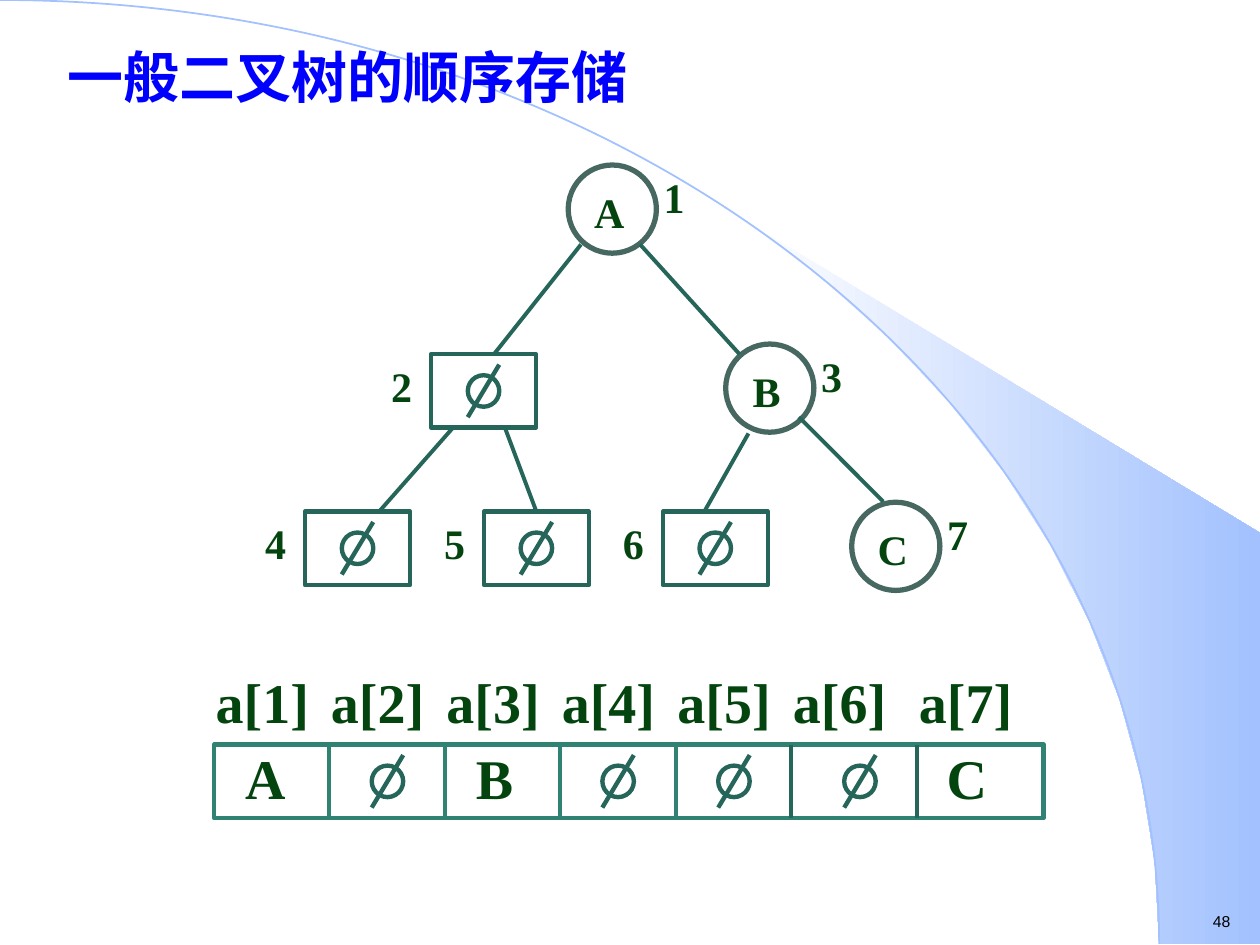
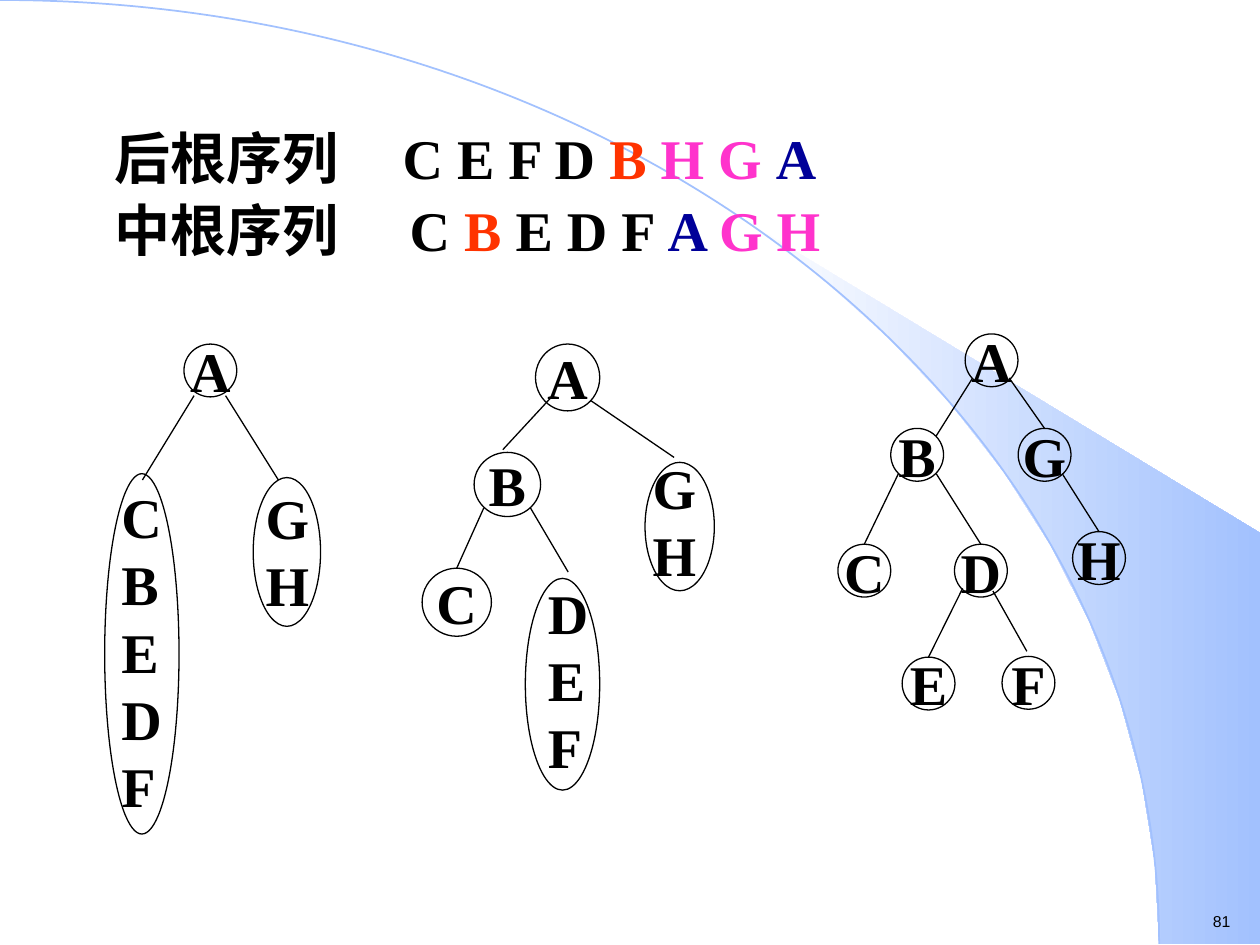
"""Builds two slides on binary trees: array storage, and rebuilding from traversals."""
from dataclasses import dataclass
from math import cos, radians, sin

from lxml.etree import SubElement
from pptx import Presentation
from pptx.dml.color import RGBColor
from pptx.enum.shapes import MSO_CONNECTOR, MSO_SHAPE
from pptx.enum.text import MSO_ANCHOR, MSO_AUTO_SIZE, PP_ALIGN
from pptx.oxml.ns import qn
from pptx.util import Pt

COLORS = {
    "title": "0000FF", "band": "A2C1FE", "white": "FFFFFF", "black": "000000",
    "letter": "04440F", "ring": "466861", "edge": "26665A", "array": "308272",
    "orange": "FF3300", "pink": "FF33CC", "navy": "000099",
}
SERIF, SANS = "Times New Roman", "Arial"
W, H = 720, 540
ARC_RX, ARC_RY = 662.4, 539.3
BOX_W, BOX_H, RING = 60, 42, 50.4
ROW_TOP, ROW_H = 425.5, 42


@dataclass
class Node:
    """A tree node; a node without text is an empty box on the storage slide."""
    key: str
    x: float
    y: float
    text: str = ""
    w: float = 30.2
    h: float = 30.2


@dataclass
class Edge:
    """A straight edge, joined to the top of the target node when one is named."""
    x1: float
    y1: float
    x2: float
    y2: float
    target: str = ""


@dataclass
class Column:
    """Letters of one undivided subtree and the ellipse around them."""
    letters: str
    x: float
    y: float
    ring: tuple


@dataclass
class Cell:
    """One array cell: its letter, left edge and the middle of its content."""
    letter: str
    left: float
    middle: float


@dataclass
class Tree:
    """One stage of rebuilding the tree."""
    nodes: list
    columns: list
    edges: list


STORED_NODES = [
    Node("1", 324.7, 94.3, "A"), Node("2", 246.3, 202.4), Node("3", 414.7, 196.6, "B"),
    Node("4", 174.3, 292.3), Node("5", 276.5, 292.3), Node("6", 378.7, 292.3),
    Node("7", 486.7, 287, "C"),
]
STORED_EDGES = [
    Edge(332, 139.7, 282.3, 202.4), Edge(365.8, 139.7, 422.6, 202.4),
    Edge(258.5, 244.8, 216.7, 292.3), Edge(288.7, 244.8, 306.5, 292.3, "5"),
    Edge(427.7, 247.7, 402.5, 292.3), Edge(456.5, 238.3, 504.7, 286.6),
]
CELLS = [
    Cell("A", 122.4, 151.7), Cell("", 188.2, 221.4), Cell("B", 254.2, 282.7),
    Cell("", 320.2, 353.2), Cell("", 386.2, 419.4), Cell("", 452.2, 491.4),
    Cell("C", 524.2, 552.6),
]
SEQUENCES = [
    ("后根序列", 164.5,
     [("C E F D ", "black"), ("B ", "orange"), ("H G ", "pink"), ("A", "navy")]),
    ("中根序列", 168.5,
     [("C ", "black"), ("B", "orange"), (" E D F ", "black"), ("A ", "navy"), ("G H", "pink")]),
]
TREES = [
    Tree([Node("A", 105.1, 196.6, "A")],
         [Column("CBEDF", 62.3, 272.2, (59.8, 270.7, 42.5, 205.9)),
          Column("GH", 144.7, 272.9, (144.7, 272.9, 38.5, 85))],
         [Edge(110.9, 226.1, 81.4, 274.3), Edge(128.9, 226.1, 159.1, 274.3)]),
    Tree([Node("A", 306, 196.6, "A", 36.7, 38.2), Node("B", 270.9, 258.5, "B", 38, 36.7),
          Node("C", 241.2, 324.7, "C", 39.6, 38.9)],
         [Column("DEF", 306, 326.9, (300.2, 330.5, 42.5, 121)),
          Column("GH", 365.8, 255.6, (368.6, 264.2, 39.6, 73.4))],
         [Edge(314.6, 227.5, 287.3, 257), Edge(337.7, 229, 385.2, 261.4),
          Edge(276.5, 290.2, 260.9, 324.7, "C"), Edge(303.1, 290.2, 324.7, 326.9)]),
    Tree([Node("A", 551.5, 190.8, "A"), Node("B", 509, 244.8, "B"), Node("C", 478.8, 311, "C"),
          Node("G", 581.8, 244.8, "G"), Node("D", 545.4, 311, "D"), Node("E", 515.5, 375.5, "E"),
          Node("H", 612.9, 303.8, "H"), Node("F", 572.6, 375.1, "F")],
         [],
         [Edge(555.8, 216, 535, 249.1), Edge(576.7, 216, 596.2, 244.8, "G"),
          Edge(513.4, 270.7, 493.9, 311, "C"), Edge(535, 270.7, 561.6, 311, "D"),
          Edge(550.1, 336.2, 529.9, 375.1, "E"), Edge(607, 270.7, 627.8, 303.8, "H"),
          Edge(567.4, 337.7, 586.8, 372.2)]),
]


def rgb(name: str) -> RGBColor:
    """Looks up a colour."""
    return RGBColor.from_string(COLORS[name])


def style(font, size: float, color: str, bold: bool = True, name: str = SERIF) -> None:
    """Formats a run's font."""
    font.name, font.size, font.bold = name, Pt(size), bold
    font.color.rgb = rgb(color)


def write(tf, lines, size: float, color: str, align=PP_ALIGN.LEFT) -> None:
    """Fills a text frame with bold lines at an even pitch."""
    tf.text = "\n".join(lines)
    for p in tf.paragraphs:
        p.alignment = align
        p.line_spacing = Pt(1.2 * size)
        for r in p.runs:
            style(r.font, size, color)


def add_text(s, x: float, y: float, w: float, h: float):
    """Adds an empty wrapping text box and returns its frame."""
    tf = s.shapes.add_textbox(Pt(x), Pt(y), Pt(w), Pt(h)).text_frame
    tf.word_wrap = True
    return tf


def add_outline(s, kind, x: float, y: float, w: float, h: float, color: str, width: float):
    """Adds an unfilled preset shape."""
    sp = s.shapes.add_shape(kind, Pt(x), Pt(y), Pt(w), Pt(h))
    sp.shadow.inherit = False
    sp.fill.background()
    sp.line.color.rgb = rgb(color)
    sp.line.width = Pt(width)
    return sp


def put_letter(sp, text: str, size: float, color: str, right: float = 0, top: float = 0) -> None:
    """Centres a letter in a shape, within the given margins."""
    tf = sp.text_frame
    tf.word_wrap = False
    tf.vertical_anchor = MSO_ANCHOR.MIDDLE
    tf.margin_left = tf.margin_bottom = 0
    tf.margin_right, tf.margin_top = Pt(right), Pt(top)
    write(tf, [text], size, color, PP_ALIGN.CENTER)


def add_line(s, edge: Edge, color: str, width: float, shapes=None) -> None:
    """Adds a straight line and joins it to its target."""
    c = s.shapes.add_connector(MSO_CONNECTOR.STRAIGHT, Pt(edge.x1), Pt(edge.y1),
                               Pt(edge.x2), Pt(edge.y2))
    c.line.color.rgb = rgb(color)
    c.line.width = Pt(width)
    SubElement(c._element.spPr, qn("a:effectLst"))
    if edge.target:
        c.end_connect(shapes[edge.target], 0)


def add_path(s, points: list, close: bool):
    """Adds a freeform through points given in points."""
    first, *rest = [(Pt(x), Pt(y)) for x, y in points]
    fb = s.shapes.build_freeform(*first, scale=1.0)
    fb.add_line_segments(rest, close=close)
    sp = fb.convert_to_shape()
    sp.shadow.inherit = False
    return sp


def add_wedge(s) -> None:
    """Draws the shaded wedge outside the arc."""
    angles = [radians(a) for a in range(40, 91, 5)]
    rim = [(ARC_RX * sin(a), ARC_RY * (1 - cos(a))) for a in angles]
    sp = add_path(s, rim + [(W, ARC_RY), (W, 304.6)], True)
    sp.line.fill.background()
    sp.fill.gradient()
    sp.fill.gradient_angle = 0
    for stop, color, position in zip(sp.fill.gradient_stops, ("white", "band"), (0, 1)):
        stop.color.rgb = rgb(color)
        stop.position = position


def add_arc(s) -> None:
    """Draws the quarter ellipse as one Bézier curve."""
    sp = add_path(s, [(0, 0), (365.8, 0), (ARC_RX, 241.2), (ARC_RX, ARC_RY)], False)
    sp.fill.background()
    sp.line.color.rgb = rgb("band")
    sp.line.width = Pt(1)
    segments = list(sp._element.iter(qn("a:lnTo")))
    outline = segments[0].getparent()
    curve = SubElement(outline, qn("a:cubicBezTo"))
    for segment in segments:
        curve.append(segment[0])
        outline.remove(segment)


def add_background(s, number: int) -> None:
    """Draws the wedge, the arc and the slide number."""
    add_wedge(s)
    add_arc(s)
    tf = add_text(s, 686, 517.7, 30, 18)
    tf.text = str(number)
    style(tf.paragraphs[0].runs[0].font, 9, "black", False, SANS)


def add_title(s, text: str) -> None:
    """Places and formats the title placeholder in front of the background."""
    sp = s.shapes.title
    s.shapes._spTree.append(sp._element)
    sp.left, sp.top, sp.width, sp.height = Pt(23.8), Pt(20.5), Pt(500), Pt(51)
    tf = sp.text_frame
    tf.text = text
    tf.auto_size = MSO_AUTO_SIZE.NONE
    tf.vertical_anchor = MSO_ANCHOR.TOP
    tf.margin_left = Pt(14.5)
    p = tf.paragraphs[0]
    p.alignment = PP_ALIGN.LEFT
    style(p.runs[0].font, 32, "title")


def add_empty_mark(s, cx: float, cy: float) -> None:
    """Draws the empty-set sign around a centre."""
    add_outline(s, MSO_SHAPE.OVAL, cx - 9, cy - 9, 18, 18, "edge", 2.5)
    add_line(s, Edge(cx + 9, cy - 15, cx - 9, cy + 15), "edge", 2.5)


def add_stored_node(s, node: Node):
    """Draws a numbered node as a lettered ring or an empty box."""
    if node.text:
        sp = add_outline(s, MSO_SHAPE.FLOWCHART_CONNECTOR, node.x, node.y, RING, RING, "ring", 3)
        put_letter(sp, node.text, 24, "letter", 3.5, 3)
        shift = 47.5
    else:
        sp = add_outline(s, MSO_SHAPE.RECTANGLE, node.x, node.y, BOX_W, BOX_H, "edge", 2.5)
        add_empty_mark(s, node.x + BOX_W / 2, node.y + BOX_H / 2)
        shift = -29.8
    write(add_text(s, node.x + shift, node.y, 36, 36), [node.key], 24, "letter")
    return sp


def add_array(s) -> None:
    """Draws the array with its index labels."""
    left = CELLS[0].left
    add_outline(s, MSO_SHAPE.RECTANGLE, left, ROW_TOP, 474, ROW_H, "array", 2.5)
    for i, cell in enumerate(CELLS):
        if i:
            add_line(s, Edge(cell.left, ROW_TOP, cell.left, ROW_TOP + ROW_H),
                     "array" if i < 5 else "edge", 2.25)
        write(add_text(s, cell.left - 6.2, 378, 78, 45), [f"a[{i + 1}]"], 32, "letter")
        if cell.letter:
            write(add_text(s, cell.middle - 33, ROW_TOP - 4, 66, 45), [cell.letter], 32,
                  "letter", PP_ALIGN.CENTER)
        else:
            add_empty_mark(s, cell.middle, ROW_TOP + ROW_H / 2)


def add_sequences(s) -> None:
    """Writes the traversal sequences, each with its letters at a tab stop."""
    tf = add_text(s, 58.5, 71.3, 600, 90)
    for i, (label, stop, parts) in enumerate(SEQUENCES):
        p = tf.add_paragraph() if i else tf.paragraphs[0]
        tabs = SubElement(p._p.get_or_add_pPr(), qn("a:tabLst"))
        SubElement(tabs, qn("a:tab"), pos=str(Pt(stop)), algn="l")
        p.line_spacing = 0.9
        if i:
            p.space_before = Pt(6.4)
        for text, color in [(label + "\t", "black"), *parts]:
            r = p.add_run()
            r.text = text
            style(r.font, 32, color)


def add_tree(s, tree: Tree) -> None:
    """Draws one rebuilding stage."""
    shapes = {}
    for n in tree.nodes:
        shapes[n.key] = add_outline(s, MSO_SHAPE.OVAL, n.x, n.y, n.w, n.h, "black", 0.75)
        put_letter(shapes[n.key], n.text, 32, "black")
    for col in tree.columns:
        add_outline(s, MSO_SHAPE.OVAL, *col.ring, "black", 0.75)
        tf = add_text(s, col.x, col.y, 42, 38.4 * len(col.letters) + 7.2)
        write(tf, col.letters, 32, "black")
    for edge in tree.edges:
        add_line(s, edge, "black", 0.75, shapes)


def main() -> None:
    """Builds and saves both slides."""
    prs = Presentation()
    prs.slide_width, prs.slide_height = Pt(W), Pt(H)

    s = prs.slides.add_slide(prs.slide_layouts.get_by_name("Title Only"))
    add_background(s, 48)
    add_title(s, "一般二叉树的顺序存储")
    shapes = {node.key: add_stored_node(s, node) for node in STORED_NODES}
    for edge in STORED_EDGES:
        add_line(s, edge, "edge", 2.25, shapes)
    add_array(s)

    s = prs.slides.add_slide(prs.slide_layouts.get_by_name("Blank"))
    add_background(s, 81)
    add_sequences(s)
    for tree in TREES:
        add_tree(s, tree)
    prs.save("out.pptx")


if __name__ == "__main__":
    main()
